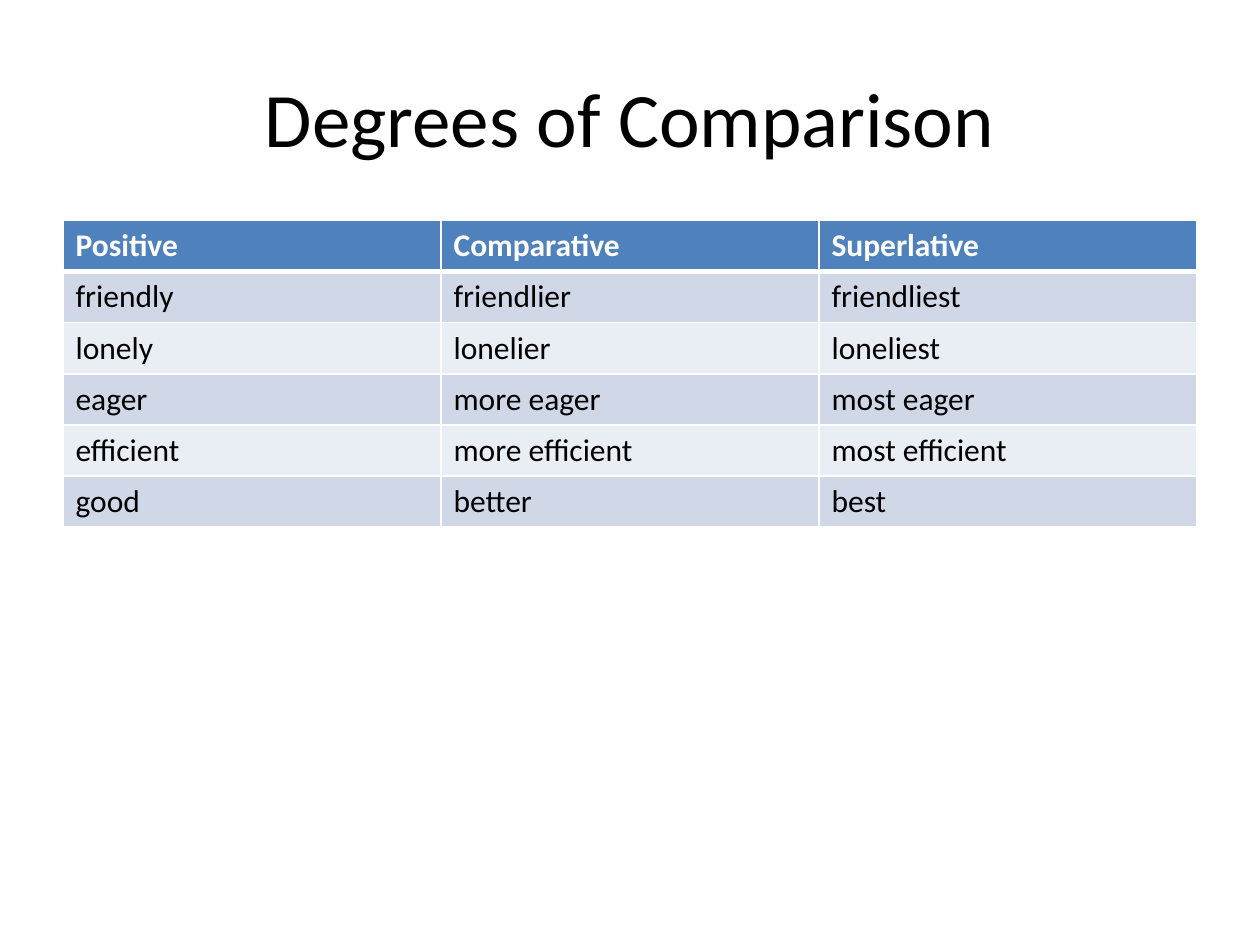
from dataclasses import dataclass

import pptx
import pptx.dml.color
import pptx.enum.text
import pptx.oxml.ns
import pptx.slide
import pptx.table
import pptx.text.text
import pptx.util
from lxml import etree

Pt = pptx.util.Pt
RGBColor = pptx.dml.color.RGBColor
qn = pptx.oxml.ns.qn

BLACK = RGBColor(0x00, 0x00, 0x00)
WHITE = RGBColor(0xFF, 0xFF, 0xFF)
HEADER_BLUE = RGBColor(0x4F, 0x81, 0xBD)
DARK_BAND = RGBColor(0xD0, 0xD8, 0xE8)
LIGHT_BAND = RGBColor(0xE9, 0xED, 0xF4)

FONT = "Calibri"
LEFT, WIDTH = 36, 648
TITLE_TOP, TITLE_HEIGHT = 21.6, 90
TABLE_TOP, ROW_HEIGHT = 126, 29.2
THIN, THICK = 1, 3


@dataclass(frozen=True)
class Degrees:
    positive: str
    comparative: str
    superlative: str

    def words(self) -> tuple[str, str, str]:
        return self.positive, self.comparative, self.superlative


@dataclass(frozen=True)
class RowStyle:
    fill: RGBColor
    color: RGBColor
    bold: bool
    top: int
    bottom: int


ROWS = [
    Degrees("Positive", "Comparative", "Superlative"),
    Degrees("friendly", "friendlier", "friendliest"),
    Degrees("lonely", "lonelier", "loneliest"),
    Degrees("eager", "more eager", "most eager"),
    Degrees("efficient", "more efficient", "most efficient"),
    Degrees("good", "better", "best"),
]


def row_style(index: int) -> RowStyle:
    if index == 0:
        return RowStyle(HEADER_BLUE, WHITE, True, THIN, THICK)
    band = DARK_BAND if index % 2 else LIGHT_BAND
    return RowStyle(band, BLACK, False, THICK if index == 1 else THIN, THIN)


def format_span(span: pptx.text.text._Run, size: float, color: RGBColor, bold: bool) -> None:
    span.font.name = FONT
    span.font.size = Pt(size)
    span.font.bold = bold
    span.font.color.rgb = color


def add_border(cell: pptx.table._Cell, side: str, width: float) -> None:
    properties = cell._tc.get_or_add_tcPr()
    line = etree.SubElement(properties, qn(f"a:ln{side}"), w=str(Pt(width)))
    fill = etree.SubElement(line, qn("a:solidFill"))
    etree.SubElement(fill, qn("a:srgbClr"), val=str(WHITE))


def fill_cell(cell: pptx.table._Cell, word: str, style: RowStyle) -> None:
    cell.text_frame.text = word
    format_span(cell.text_frame.paragraphs[0].runs[0], 18, style.color, style.bold)
    for side, width in (("L", THIN), ("R", THIN), ("T", style.top), ("B", style.bottom)):
        add_border(cell, side, width)
    cell.fill.solid()
    cell.fill.fore_color.rgb = style.fill


def add_title(page: pptx.slide.Slide, title: str) -> None:
    box = page.shapes.add_textbox(Pt(LEFT), Pt(TITLE_TOP), Pt(WIDTH), Pt(TITLE_HEIGHT))
    frame = box.text_frame
    frame.word_wrap = True
    frame.vertical_anchor = pptx.enum.text.MSO_ANCHOR.MIDDLE
    frame.text = title
    para = frame.paragraphs[0]
    para.alignment = pptx.enum.text.PP_ALIGN.CENTER
    format_span(para.runs[0], 44, BLACK, False)


def add_degrees_table(page: pptx.slide.Slide, rows: list[Degrees]) -> None:
    table = page.shapes.add_table(
        len(rows), len(rows[0].words()),
        Pt(LEFT), Pt(TABLE_TOP), Pt(WIDTH), Pt(ROW_HEIGHT * len(rows)),
    ).table
    for index, degrees in enumerate(rows):
        table.rows[index].height = Pt(ROW_HEIGHT)
        for column, word in enumerate(degrees.words()):
            fill_cell(table.cell(index, column), word, row_style(index))


def main() -> None:
    deck = pptx.Presentation()
    deck.slide_width, deck.slide_height = Pt(720), Pt(540)
    page = deck.slides.add_slide(deck.slide_layouts[6])
    add_title(page, "Degrees of Comparison")
    add_degrees_table(page, ROWS)
    deck.save("out.pptx")


if __name__ == "__main__":
    main()
